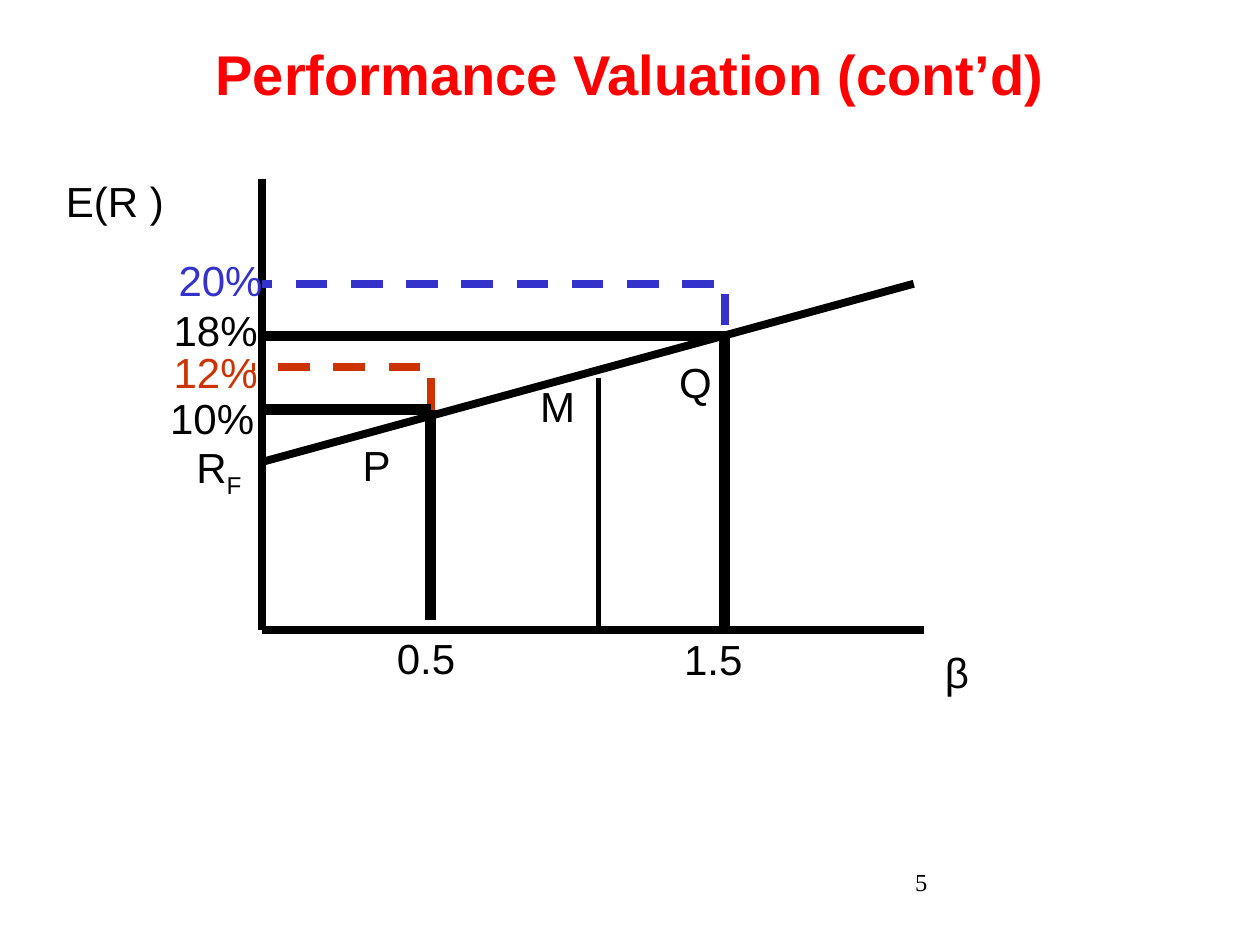
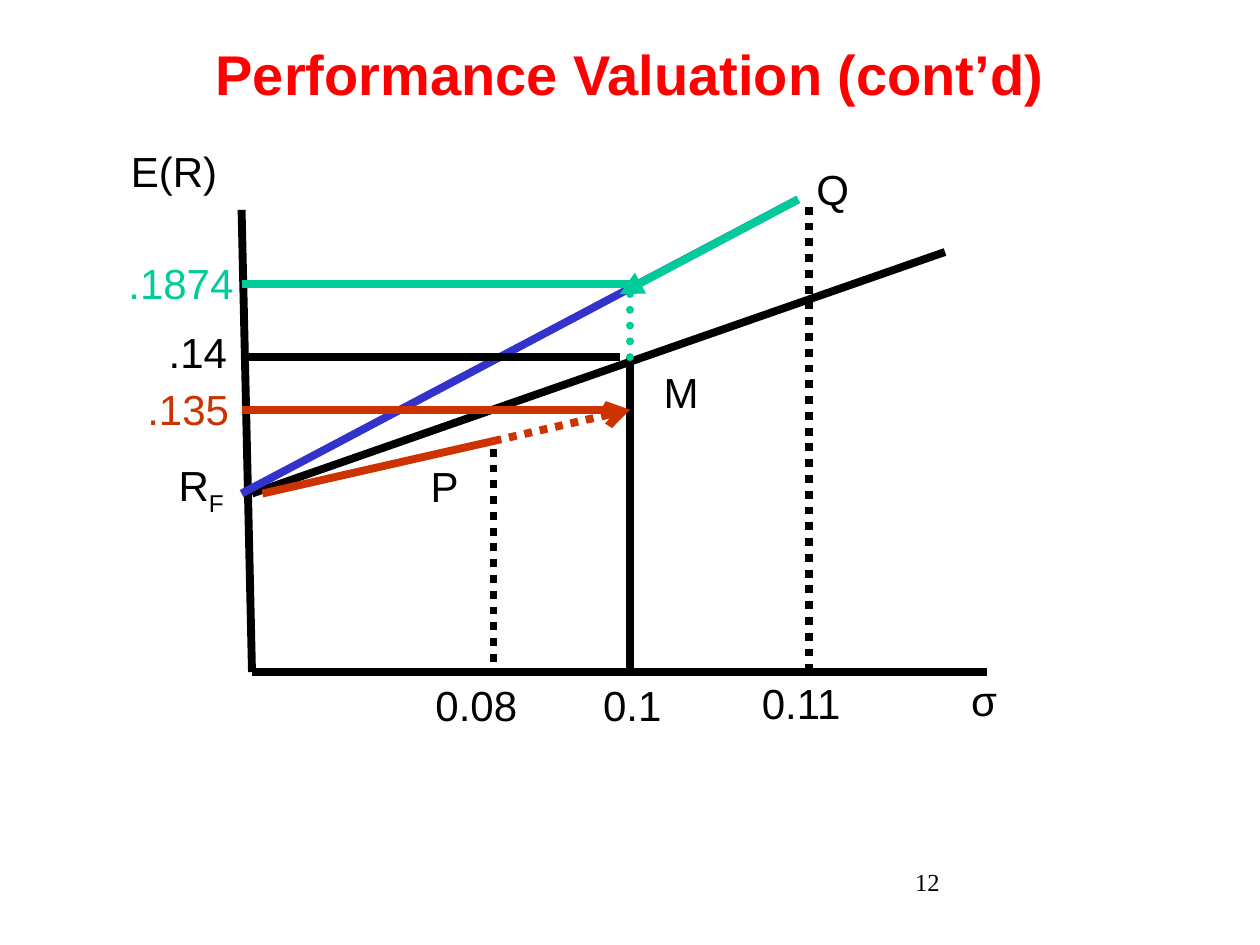
import pptx
import pptx.dml.color
import pptx.enum.dml
import pptx.enum.shapes
import pptx.enum.text
import pptx.oxml.ns
import pptx.util
from lxml import etree

Cm, Pt = pptx.util.Cm, pptx.util.Pt
RGBColor = pptx.dml.color.RGBColor
DASH = pptx.enum.dml.MSO_LINE.DASH
DOT = pptx.enum.dml.MSO_LINE.ROUND_DOT

BLACK = RGBColor(0x00, 0x00, 0x00)
RED = RGBColor(0xFF, 0x00, 0x00)
ORANGE = RGBColor(0xCC, 0x33, 0x00)
BLUE = RGBColor(0x33, 0x33, 0xCC)
GREEN = RGBColor(0x00, 0xCC, 0x99)
SANS, SERIF = "Arial", "Times New Roman"
TITLE_ONLY = 5


def format_run(r, size, color=BLACK, font=SANS, bold=False):
    r.font.name = font
    r.font.size = Pt(size)
    r.font.bold = bold
    r.font.color.rgb = color


def add_titled_slide(prs, title, number):
    s = prs.slides.add_slide(prs.slide_layouts[TITLE_ONLY])
    sp = s.shapes.title
    sp.left, sp.top, sp.width, sp.height = Cm(0), Cm(0), prs.slide_width, Cm(2.96)
    tf = sp.text_frame
    tf.text = title
    tf.vertical_anchor = pptx.enum.text.MSO_ANCHOR.MIDDLE
    p = tf.paragraphs[0]
    p.alignment = pptx.enum.text.PP_ALIGN.CENTER
    format_run(p.runs[0], 32, RED, bold=True)

    tf = s.shapes.add_textbox(Cm(18.2), Cm(17.35), Cm(5.29), Cm(1.27)).text_frame
    tf.word_wrap = True
    tf.text = str(number)
    format_run(tf.paragraphs[0].runs[0], 14, font=SERIF)
    return s


def add_label(s, text, x, y, color=BLACK, subscript=None):
    tf = s.shapes.add_textbox(Cm(x), Cm(y), Cm(3), Cm(1.27)).text_frame
    tf.word_wrap = True
    tf.margin_top = Cm(0.2)
    tf.text = text
    p = tf.paragraphs[0]
    if subscript:
        r = p.add_run()
        r.text = subscript
        r.font._element.set("baseline", "-25000")
    for r in p.runs:
        format_run(r, 24, color)


def add_line(s, x1, y1, x2, y2, color=BLACK, width=4.5, dash=None, arrow=None, cap=None):
    """Draw a straight line; arrow is the head type at its end."""
    line_type = pptx.enum.shapes.MSO_CONNECTOR.STRAIGHT
    c = s.shapes.add_connector(line_type, Cm(x1), Cm(y1), Cm(x2), Cm(y2))
    c.line.color.rgb = color
    c.line.width = Pt(width)
    if dash:
        c.line.dash_style = dash
    qn = pptx.oxml.ns.qn
    ln = c.line._get_or_add_ln()
    if cap:
        ln.set("cap", cap)
    if arrow:
        etree.SubElement(ln, qn("a:tailEnd"), type=arrow)
    etree.SubElement(c._element.spPr, qn("a:effectLst"))


def draw_beta_chart(s):
    """Security market line with portfolios P and Q against beta."""
    axis_x, axis_y = 5.29, 12.7
    p_x, p_y = 8.68, 8.26
    q_x, q_y = 14.61, 6.77
    add_line(s, axis_x, axis_y, 18.63, axis_y)
    add_line(s, axis_x, 3.6, axis_x, axis_y)
    add_line(s, axis_x, 9.31, 18.42, 5.72)
    add_line(s, 12.07, 7.62, 12.07, axis_y, width=3)

    add_line(s, p_x, 12.49, p_x, p_y, width=6)
    add_line(s, q_x, axis_y, q_x, q_y, width=6)
    add_line(s, p_x, p_y, p_x, 7.2, ORANGE, dash=DASH)
    add_line(s, q_x, 6.56, q_x, 5.5, BLUE, dash=DASH)
    add_line(s, 8.47, 7.39, 5.08, 7.39, ORANGE, dash=DASH)
    add_line(s, 14.39, 5.72, axis_x, 5.72, BLUE, dash=DASH)
    add_line(s, p_x, p_y, axis_x, p_y, width=6)
    add_line(s, q_x, q_y, axis_x, q_y, width=6)

    for label in (
        ("E(R )", 1.08, 3.34),
        ("β", 18.8, 12.84),
        ("20%", 3.35, 4.93, BLUE),
        ("18%", 3.25, 5.94),
        ("12%", 3.25, 6.78, ORANGE),
        ("10%", 3.18, 7.72),
        ("R", 3.71, 8.71, BLACK, "F"),
        ("P", 7.06, 8.66),
        ("M", 10.64, 7.47),
        ("Q", 13.44, 6.99),
        ("0.5", 7.75, 12.55),
        ("1.5", 13.54, 12.57),
    ):
        add_label(s, *label)


def draw_sigma_chart(s):
    """Capital market line with portfolios P and Q against sigma."""
    axis_x, axis_y = 4.87, 13.55
    rf_y = 9.95
    p_x, p_y = 9.95, 8.89
    m_x, m_y = 12.7, 7.2
    q_x, q_y = 16.09, 4.02
    p_return, q_return = 8.26, 5.72
    add_line(s, axis_x, 4.23, 5.08, axis_y)
    add_line(s, 5.08, axis_y, 19.9, axis_y)
    add_line(s, 5.08, rf_y, 19.05, 5.08)

    add_line(s, p_x, 13.34, p_x, p_y, dash=DOT)
    add_line(s, 5.29, rf_y, p_x, p_y, ORANGE)
    add_line(s, 16.3, axis_y, 16.3, q_y, dash=DOT)
    add_line(s, axis_x, rf_y, q_x, q_y, BLUE)
    add_line(s, m_x, axis_y, m_x, m_y)
    add_line(s, q_x, q_y, 12.49, 5.93, GREEN, arrow="triangle")
    add_line(s, m_x, m_y, m_x, q_return, GREEN, dash=DOT, cap="rnd")
    add_line(s, p_x, p_y, m_x, p_return, ORANGE, dash=DOT, arrow="arrow")

    add_line(s, 12.49, m_y, axis_x, m_y)
    add_line(s, m_x, q_return, axis_x, q_return, GREEN)
    add_line(s, 12.49, p_return, axis_x, p_return, ORANGE)

    for label in (
        ("E(R)", 2.39, 2.74),
        ("σ", 19.33, 13.4),
        (".1874", 2.34, 5, GREEN),
        (".14", 3.15, 6.38),
        (".135", 2.72, 7.54, ORANGE),
        ("R", 3.35, 9.07, BLACK, "F"),
        ("P", 8.43, 9.09),
        ("M", 13.13, 7.19),
        ("Q", 16.21, 3.1),
        ("0.08", 8.53, 13.49),
        ("0.1", 11.91, 13.49),
        ("0.11", 15.11, 13.46),
    ):
        add_label(s, *label)


def main():
    prs = pptx.Presentation()
    prs.slide_width, prs.slide_height = Cm(25.4), Cm(19.05)
    title = "Performance Valuation (cont’d)"
    draw_beta_chart(add_titled_slide(prs, title, 5))
    draw_sigma_chart(add_titled_slide(prs, title, 12))
    prs.save("out.pptx")


if __name__ == "__main__":
    main()
